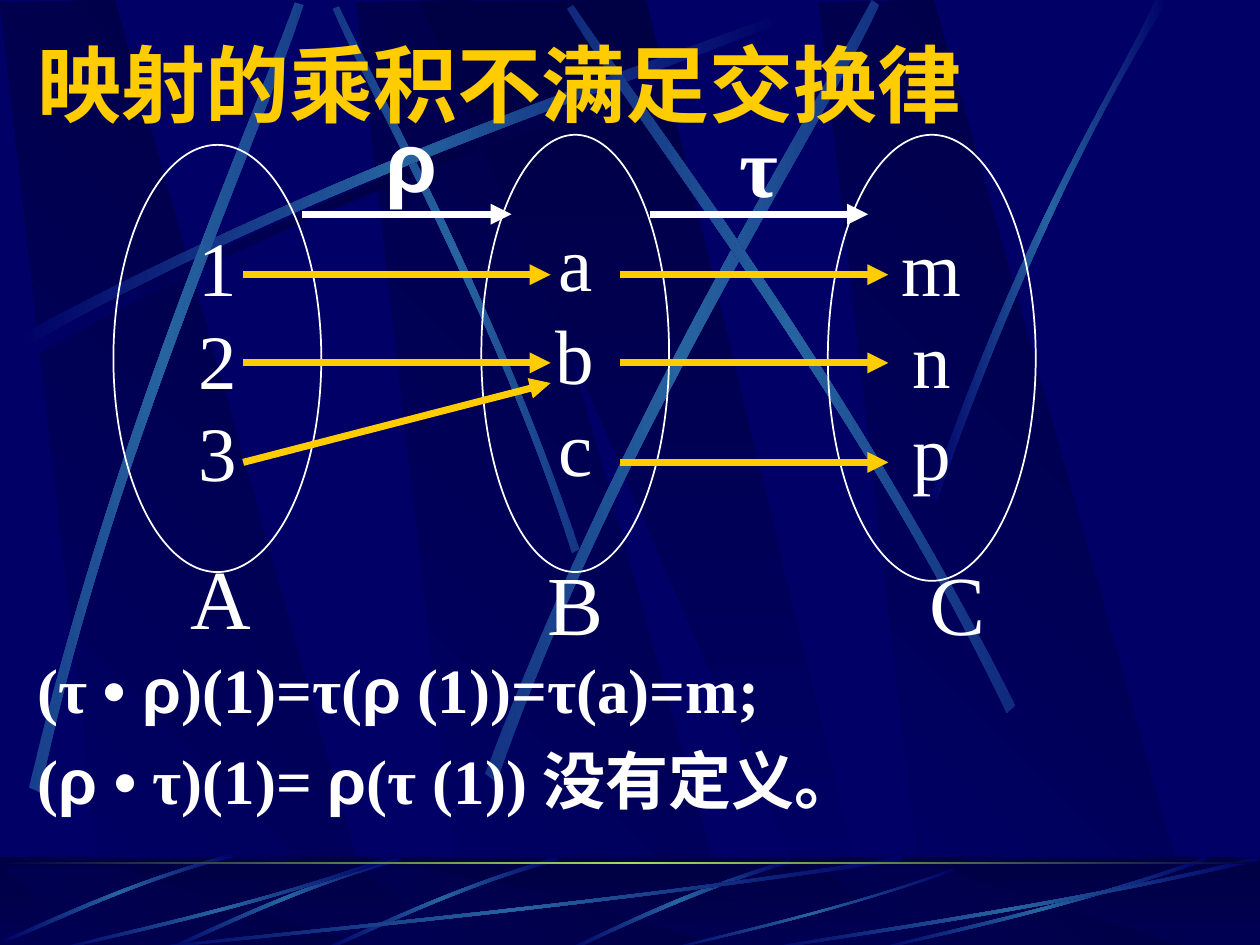
import copy
import pptx
import pptx.util
import pptx.dml.color
import pptx.enum.shapes
import pptx.enum.text
import pptx.oxml
import pptx.oxml.ns

Inches, Pt = pptx.util.Inches, pptx.util.Pt
RGBColor = pptx.dml.color.RGBColor
SHAPE = pptx.enum.shapes.MSO_SHAPE
ALIGN = pptx.enum.text.PP_ALIGN
ANCHOR = pptx.enum.text.MSO_ANCHOR
qn, SPACE = pptx.oxml.ns.qn, pptx.oxml.ns.nsdecls("a")

NAVY = RGBColor(0x00, 0x00, 0x66)
DARK = RGBColor(0x00, 0x00, 0x44)
STEEL = RGBColor(0x26, 0x63, 0xA0)
LIME = RGBColor(0x9C, 0xE1, 0x57)
GOLD = RGBColor(0xFF, 0xCC, 0x00)
WHITE = RGBColor(0xFF, 0xFF, 0xFF)
SERIF, SANS = "Times New Roman", "Arial"

deck = pptx.Presentation()
deck.slide_width, deck.slide_height = Inches(10), Inches(7.5)
slide = deck.slides.add_slide(deck.slide_layouts[6])
slide.background.fill.solid()
slide.background.fill.fore_color.rgb = NAVY
shapes = slide.shapes


def paint(points, tones, angle):
    """Fill a gradient outline: 2 points make a rectangle, 4 a polygon, 8 two curved edges."""
    spots = [(Inches(x), Inches(y)) for x, y in points]
    if len(spots) == 2:
        (left, top), (right, low) = spots
        shape = shapes.add_shape(SHAPE.RECTANGLE, left, top, right - left, low - top)
    else:
        pen = shapes.build_freeform(*spots[0])
        pen.add_line_segments(spots[1:], close=True)
        shape = pen.convert_to_shape()
    props = shape._element.spPr
    if len(spots) == 8:
        legs = list(props.iter(qn("a:lnTo")))
        for trio in (legs[:3], legs[4:7]):
            curve = pptx.oxml.parse_xml(f"<a:cubicBezTo {SPACE}/>")
            trio[0].addprevious(curve)
            for leg in trio:
                curve.append(leg[0])
                leg.getparent().remove(leg)
    shape.shadow.inherit = False
    shape.line.fill.background()
    shape.fill.gradient()
    shape.fill.gradient_angle = angle
    stops = props.find(qn("a:gradFill")).find(qn("a:gsLst"))
    for _ in tones[2:]:
        stops.insert(1, copy.deepcopy(stops[0]))
    for i, (stop, tone) in enumerate(zip(shape.fill.gradient_stops, tones)):
        stop.position = i / (len(tones) - 1)
        stop.color.rgb = tone


def write(shape, lines, tone, form, align=ALIGN.CENTER, wrap=False, gap=0):
    """Write lines, each a list of (text, font name) runs."""
    frame = shape.text_frame
    frame.word_wrap = wrap
    frame.vertical_anchor = ANCHOR.MIDDLE
    for i, runs in enumerate(lines):
        para = frame.paragraphs[0] if i == 0 else frame.add_paragraph()
        para.alignment = align
        if i:
            para.space_before = Pt(gap)
        for text, name in runs:
            run = para.add_run()
            run.text = text
            run.font.name = name
            run.font.color.rgb = tone
            for key, value in form.items():
                setattr(run.font, key, value)


# Slanted panels: (points, horizontal shifts, gradient angle)
slant = [(0.86, 7.5), (3.02, 7.52), (0.91, 0), (0, 0.02)]
wedge = [(3.33, 0.01), (6.58, 7.51), (6.94, 7.51), (5.13, 0)]
low_slant = [(0.86, 7.55), (3.02, 7.55), (0.91, 6.88), (0, 6.88)]
low_wedge = [(3.33, 6.88), (6.58, 7.55), (6.94, 7.55), (5.13, 6.88)]
panels = [(slant, (2.83, 0, 6.5), 225), (wedge, (0,), 270)]
low_panels = [([(0, 6.8), (10, 7.55)], (0,), 270),
              (low_slant, (2.83, 0, 6.5), 225), (low_wedge, (0,), 270)]

# Streaks: (middle tone, its share at the ends, shifts, control points of both edges)
streaks = [
    (DARK, 0, (0,), [(0.2, 2.75), (2.84, 1.34), (5.24, 0.59), (6.26, 0.18),
                     (6.29, 0.24), (5.28, 0.69), (2.54, 1.51), (0.23, 2.85)]),
    (STEEL, 0.56, (0,), [(4.6, 4.36), (3.91, 2.34), (3.02, 0.77), (2.69, 0.05),
                         (2.64, 0.07), (2.95, 0.79), (3.98, 2.58), (4.54, 4.39)]),
    (STEEL, 0, (0,), [(0.14, 2.67), (2.78, 1.25), (5.18, 0.51), (6.2, 0.1),
                      (6.23, 0.16), (5.22, 0.61), (2.48, 1.43), (0.17, 2.77)]),
    (STEEL, 0.64, (0,), [(0.23, 6.25), (0.93, 3.34), (1.97, 1.05), (2.34, 0.02),
                         (2.41, 0.04), (2.07, 1.09), (0.86, 3.68), (0.32, 6.29)]),
    (STEEL, 0.5, (0,), [(3.85, 6.14), (4.98, 3.2), (6.38, 1.02), (6.92, 0),
                        (6.98, 0.04), (6.49, 1.08), (4.86, 3.55), (3.94, 6.21)]),
    (STEEL, 0.42, (0,), [(8.06, 5.6), (6.7, 2.93), (5.16, 0.95), (4.55, 0.04),
                         (4.5, 0.07), (5.07, 1.01), (6.85, 3.25), (7.99, 5.66)]),
    (STEEL, 0, (0,), [(7.38, 3.94), (8.14, 1.73), (8.88, 0.66), (9.17, 0),
                      (9.27, 0), (8.36, 1.45), (7.69, 3.22), (7.44, 3.97)]),
]
low_streaks = [
    (STEEL, 0, (0,), [(6.27, 6.82), (5.37, 7.09), (4.77, 7.42), (4.48, 7.54),
                      (4.53, 7.55), (4.9, 7.37), (5.71, 7), (6.28, 6.85)]),
    (STEEL, 0, (1.25, 0), [(3.17, 6.8), (2.3, 7.05), (1.62, 7.4), (1.31, 7.53),
                           (1.32, 7.55), (1.63, 7.43), (2.4, 7.03), (3.19, 6.83)]),
    (STEEL, 0, (0,), [(1.86, 6.77), (0.99, 7), (0.32, 7.34), (0.02, 7.46),
                      (0.03, 7.48), (0.34, 7.37), (1.09, 6.98), (1.87, 6.8)]),
    (STEEL, 0, (0,), [(7.17, 6.83), (4.49, 7.23), (2.06, 7.44), (1.03, 7.55),
                      (1, 7.54), (2.02, 7.41), (4.8, 7.18), (7.14, 6.8)]),
    (STEEL, 0, (0,), [(3.08, 6.83), (1.93, 7.23), (0.88, 7.44), (0.43, 7.55),
                      (0.42, 7.54), (0.86, 7.41), (2.06, 7.18), (3.07, 6.8)]),
    (STEEL, 0, (0,), [(7.58, 6.91), (6.58, 7.26), (5.67, 7.45), (5.28, 7.55),
                      (5.27, 7.54), (5.65, 7.43), (6.69, 7.22), (7.57, 6.89)]),
    (STEEL, 0, (0,), [(9.58, 6.83), (8.43, 7.23), (7.38, 7.44), (6.93, 7.55),
                      (6.92, 7.54), (7.36, 7.41), (8.56, 7.18), (9.57, 6.8)]),
    (STEEL, 0, (0,), [(10, 6.83), (8.27, 7.23), (6.69, 7.44), (6.02, 7.55),
                      (6, 7.54), (6.66, 7.41), (8.46, 7.18), (9.98, 6.8)]),
]

for slabs, rays in ((panels, streaks), (low_panels, low_streaks)):
    for points, shifts, angle in slabs:
        for shift in shifts:
            paint([(x + shift, y) for x, y in points], [DARK, NAVY], angle)
    if slabs is low_panels:
        veil = shapes.add_shape(SHAPE.RECTANGLE, 0, Inches(6.8), Inches(10), Inches(0.75))
        veil.shadow.inherit = False
        veil.line.fill.background()
        veil.fill.solid()
        veil.fill.fore_color.rgb = DARK
        tint = veil._element.spPr.find(".//" + qn("a:srgbClr"))
        tint.append(pptx.oxml.parse_xml(f'<a:alpha {SPACE} val="50000"/>'))
    for tone, share, shifts, knots in rays:
        tip = RGBColor(*(round(a + (b - a) * share) for a, b in zip(NAVY, tone)))
        for shift in shifts:
            paint([(x + shift, y) for x, y in knots], [tip, tone, tip], 0)
paint([(0, 6.84), (10, 6.86)], [DARK, LIME, DARK], 0)

# Title and formulas
title = shapes.add_textbox(Inches(0.2), Inches(0.21), Inches(8.5), Inches(0.9))
write(title, [[("映射的乘积不满足交换律", "Montserrat")]], GOLD,
      {"size": Pt(48), "bold": True}, ALIGN.LEFT, True)
proof = shapes.add_textbox(Inches(0.2), Inches(1.23), Inches(9.61), Inches(5.44))
write(proof, [
    [("(τ ", SERIF), ("• ρ", SANS), (")(1)=τ(", SERIF), ("ρ", SANS), (" (1))=τ(a)=m;", SERIF)],
    [("(", SERIF), ("ρ •", SANS), (" τ)(1)= ", SERIF), ("ρ", SANS), ("(τ (1)) 没有定义。", SERIF)],
], WHITE, {"size": Pt(36), "bold": True}, ALIGN.LEFT, True, 9)
proof.text_frame.vertical_anchor = ANCHOR.TOP
proof.text_frame.margin_top = Inches(3.93)

# Sets
for items, box in (("123", (0.9, 1.15, 1.65, 3.39)), ("abc", (3.82, 1.07, 1.49, 3.47)),
                   ("mnp", (6.57, 1.07, 1.65, 3.54))):
    oval = shapes.add_shape(SHAPE.OVAL, *map(Inches, box))
    oval.shadow.inherit = False
    oval.fill.background()
    oval.line.color.rgb = WHITE
    oval.line.width = Pt(1)
    write(oval, [[(item, SERIF)] for item in items], WHITE, {"size": Pt(44)})

for text, name, bold, box in (
        ("ρ", SANS, True, (2.95, 0.91, 0.63, 0.71)), ("τ", SERIF, True, (5.55, 0.99, 0.95, 0.63)),
        ("A", SERIF, False, (1.3, 4.3, 0.9, 0.86)), ("B", SERIF, False, (3.98, 4.38, 1.18, 0.79)),
        ("C", SERIF, False, (7.05, 4.38, 1.1, 0.79))):
    label = shapes.add_textbox(*map(Inches, box))
    write(label, [[(text, name)]], WHITE, {"size": Pt(48), "bold": bold})

# Arrows between the sets
arrows = [(WHITE, 2.4, 1.7, 4.06, 1.7), (WHITE, 5.16, 1.7, 6.89, 1.7)]
for start, end in ((2.18, 2.18), (2.88, 2.88), (3.67, 3.04)):
    arrows += [(GOLD, 1.93, start, 4.37, end), (GOLD, 4.92, start, 7.05, start)]
for tone, *ends in arrows:
    arrow = shapes.add_connector(pptx.enum.shapes.MSO_CONNECTOR.STRAIGHT, *map(Inches, ends))
    arrow.line.color.rgb = tone
    arrow.line.width = Pt(4)
    arrow.line._get_or_add_ln().append(
        pptx.oxml.parse_xml(f'<a:tailEnd {SPACE} type="triangle"/>'))
    arrow._element.spPr.append(pptx.oxml.parse_xml(f"<a:effectLst {SPACE}/>"))

deck.save("out.pptx")
